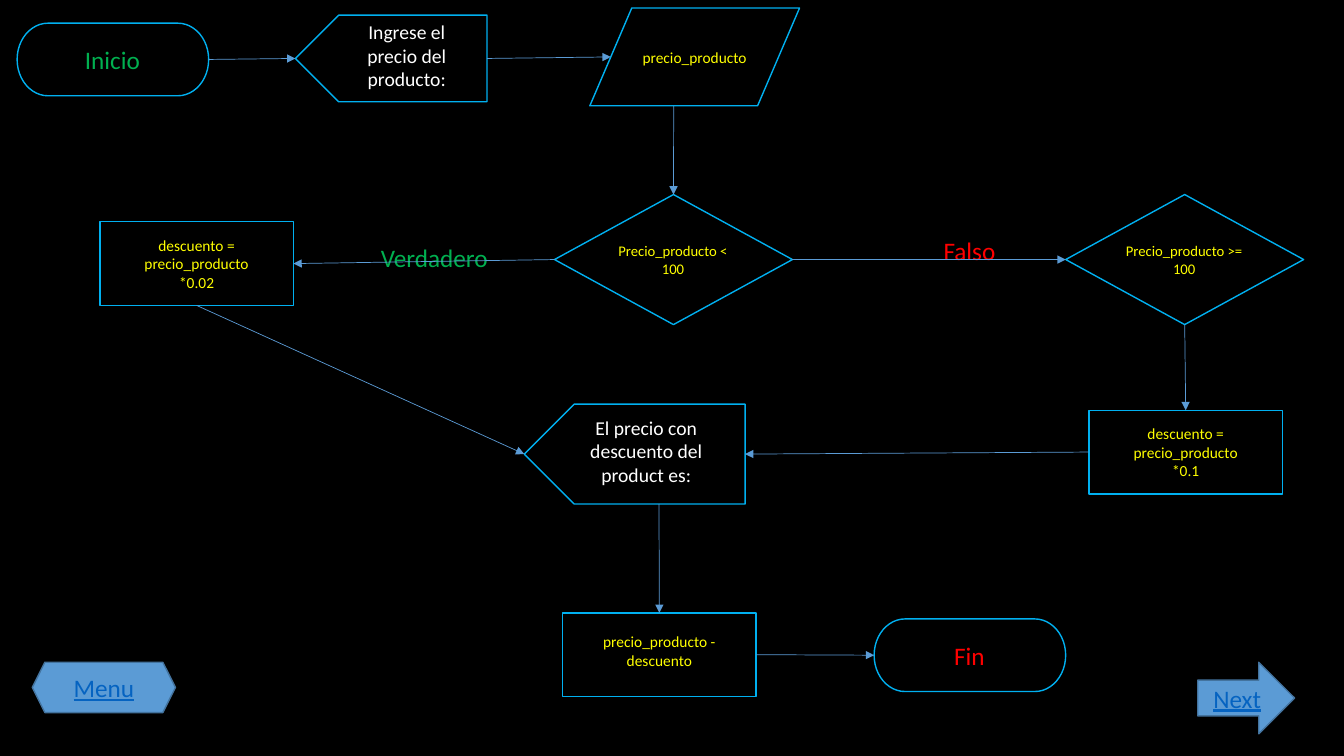
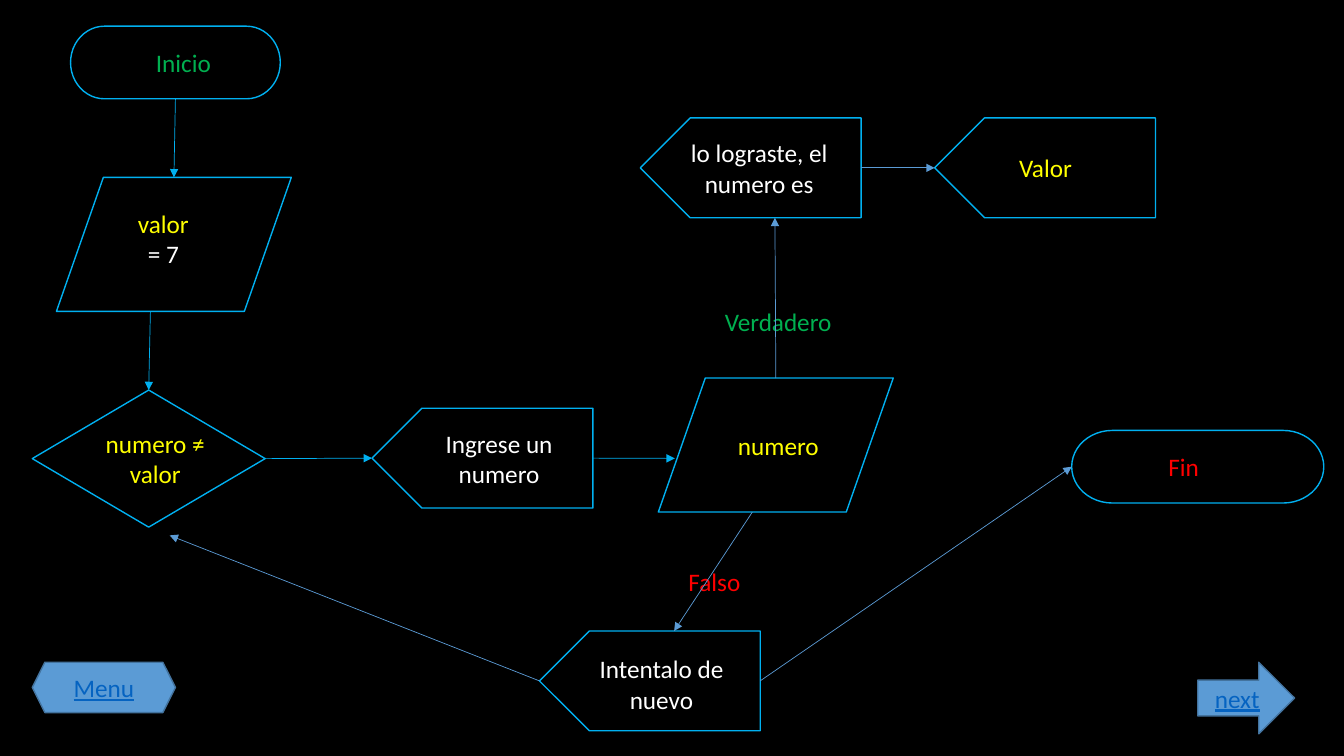
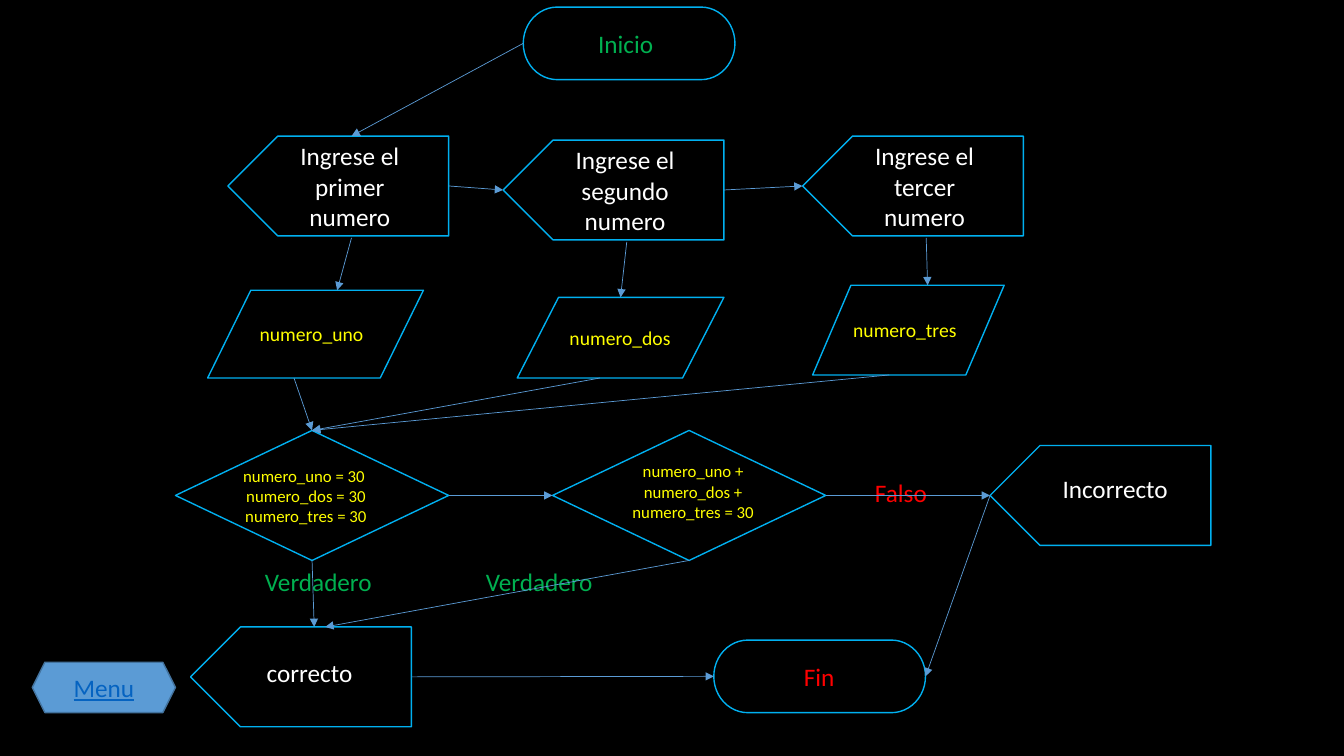
"""Build three flowchart slides about discounts and number games."""
from lxml import etree
from pptx import Presentation
from pptx import util as u
from pptx.dml.color import RGBColor
from pptx.enum import shapes, text
from pptx.oxml.ns import qn

PX = 9144
FONT = "Calibri"
BLACK = RGBColor.from_string("000000")
WHITE = RGBColor.from_string("FFFFFF")
YELLOW = RGBColor.from_string("FFFF00")
GREEN = RGBColor.from_string("00B050")
RED = RGBColor.from_string("FF0000")
CYAN = RGBColor.from_string("00B0F0")
BLUE = RGBColor.from_string("5B9BD5")
DARK_BLUE = RGBColor.from_string("43739E")
LINK = RGBColor.from_string("0563C1")
WORD_COLOURS = {
    "Inicio": GREEN, "Verdadero": GREEN, "Fin": RED, "Falso": RED,
    "Valor": YELLOW, "= 7": WHITE, "Menu": LINK, "Next": LINK, "next": LINK,
}

PRESET = shapes.MSO_SHAPE
TERMINAL = PRESET.FLOWCHART_TERMINATOR
PROMPT = PRESET.PENTAGON
DATA = PRESET.FLOWCHART_DATA
DECISION = PRESET.FLOWCHART_DECISION
PROCESS = PRESET.RECTANGLE

SITES = ["top", "left", "bottom", "right"]
ANCHORS = {
    "top": (0.5, 0), "left": (0, 0.5), "bottom": (0.5, 1), "right": (1, 0.5),
    "middle": (0.5, 0), "edge": (0.07, 0.6), "under": (0.59, 1.06),
    "above_words": (0.56, 0), "below_words": (0.56, 1.02),
}
SLANTED = {
    PROMPT: {"top": (0.61, 0), "bottom": (0.61, 1)},
    DATA: {"top": (0.6, 0), "left": (0.1, 0.5), "bottom": (0.4, 1), "right": (0.9, 0.5)},
}

DISCOUNT = [
    (TERMINAL, 190, 72, 18, [("inicio", 17, 23, "Inicio"), ("fin", 867, 614, "Fin")]),
    (PROMPT, 190, 86, 14, [("ingrese", 293, 15, "Ingrese el precio del producto:", 4, -3)]),
    (PROMPT, 219, 99, 14, [("resultado", 520, 401, "El precio con descuento del product es:", 0, -3)]),
    (DATA, 208, 97, 11, [("precio", 585, 8, "precio_producto")]),
    (DECISION, 236, 129, 10.5, [
        ("menor", 550, 193, "Precio_producto < 100"),
        ("mayor", 1057, 193, "Precio_producto >= 100"),
    ]),
    (PROCESS, 192, 83, 11, [
        ("minimo", 99, 220, "descuento = precio_producto *0.02"),
        ("maximo", 1080, 407, "descuento = precio_producto *0.1"),
        ("resta", 558, 608, "precio_producto - descuento", 0, -4),
    ]),
]
GUESS = [
    (TERMINAL, 208, 72, 18, [("inicio", 70, 26, "Inicio", 8)]),
    (TERMINAL, 250, 72, 18, [("fin", 1063, 427, "Fin", -14)]),
    (DATA, 233, 133, 18, [("valor", 56, 176, "valor\n= 7", -10, -6), ("numero", 653, 375, "numero", 3)]),
    (DECISION, 231, 136, 18, [("distinto", 32, 387, "numero ≠ valor", 7)]),
    (PROMPT, 219, 99, 18, [
        ("ingrese", 369, 405, "Ingrese un numero", 5),
        ("lograste", 635, 117, "lo lograste, el numero es", -3),
        ("mostrar", 927, 117, "Valor", -11),
        ("intentalo", 535, 626, "Intentalo de nuevo", 0, 3),
    ]),
]
SUM = [
    (TERMINAL, 210, 72, 18, [("inicio", 519, 7, "Inicio", -3), ("fin", 708, 635, "Fin")]),
    (PROMPT, 219, 99, 18, [
        ("primer", 226, 135, "Ingrese el primer numero"),
        ("segundo", 499, 139, "Ingrese el segundo\nnumero"),
        ("tercer", 796, 135, "Ingrese el tercer numero"),
        ("correcto", 189, 622, "correcto", -3, -4),
        ("incorrecto", 982, 442, "Incorrecto", 3, -7),
    ]),
    (DATA, 214, 87, 14, [("uno", 206, 288, "numero_uno", -4)]),
    (DATA, 205, 80, 14, [("dos", 513, 295, "numero_dos")]),
    (DATA, 190, 89, 14, [("tres", 806, 283, "numero_tres", -3)]),
    (DECISION, 271, 129, 12, [
        ("iguales", 174, 427, "numero_uno = 30 \nnumero_dos = 30\nnumero_tres = 30", -6),
        ("suma", 548, 427, "numero_uno + numero_dos + numero_tres = 30", 4, -4),
    ]),
]

DISCOUNT_ARROWS = """inicio right ingrese left
ingrese right precio left
precio bottom menor top
menor left minimo right
menor right mayor left
mayor bottom maximo top
maximo left resultado right
minimo bottom resultado left
resultado bottom resta top
resta right fin left"""
GUESS_ARROWS = """inicio bottom valor middle
valor bottom distinto top
distinto right ingrese left
ingrese right numero edge
numero middle lograste bottom
lograste right mostrar left
numero bottom intentalo top
intentalo left distinto under
intentalo right fin left"""
SUM_ARROWS = """inicio left primer above_words
primer right segundo left
segundo right tercer left
primer below_words uno top
segundo below_words dos middle
tercer below_words tres top
uno bottom iguales top
dos bottom iguales top
tres bottom iguales top
iguales right suma left
suma right incorrecto left
iguales bottom correcto above_words
suma bottom correcto top
correcto right fin left
incorrecto left fin right"""

CHARTS = [
    (DISCOUNT, DISCOUNT_ARROWS, [], [("Verdadero", 368, 235), ("Falso", 926, 229)], "Next"),
    (GUESS, GUESS_ARROWS, ["inicio", "valor", "distinto", "ingrese"],
     [("Verdadero", 709, 299), ("Falso", 673, 557)], "next"),
    (SUM, SUM_ARROWS, [], [("Verdadero", 253, 557), ("Verdadero", 472, 557), ("Falso", 858, 469)], None),
]


def write(frame, words, size, colour, align=text.PP_ALIGN.CENTER):
    """Put formatted words into a text frame."""
    frame.text = words
    frame.word_wrap = True
    for paragraph in frame.paragraphs:
        paragraph.alignment = align
        for run in paragraph.runs:
            run.font.name = FONT
            run.font.size = u.Pt(size)
            run.font.color.rgb = WORD_COLOURS.get(run.text, colour)


def locate(symbol, kind, side):
    """Give the point on a symbol where an arrow meets it."""
    across, down = SLANTED.get(kind, ANCHORS).get(side, ANCHORS[side])
    return [round(symbol.left + across * symbol.width), round(symbol.top + down * symbol.height)]


prs = Presentation()
prs.slide_width, prs.slide_height = 1333 * PX, 750 * PX

for groups, arrows, cyan_starts, labels, following in CHARTS:
    slide = prs.slides.add_slide(prs.slide_layouts[6])
    slide.background.fill.solid()
    slide.background.fill.fore_color.rgb = BLACK

    drawn = {}
    for kind, w, h, size, members in groups:
        for name, x, y, words, *shift in members:
            symbol = slide.shapes.add_shape(kind, x * PX, y * PX, w * PX, h * PX)
            symbol.shadow.inherit = False
            symbol.fill.background()
            symbol.line.color.rgb = CYAN
            symbol.line.width = u.Pt(1)
            symbol.rotation = 180 if kind == PROMPT else 0
            drawn[name] = symbol, kind

            dx, dy = (shift + [0, 0])[:2]
            dx += 12 if kind == PROMPT else 0
            room = round(w * (0.58 if kind == DECISION else 0.72))
            left = x + dx + (w - room) // 2
            caption = slide.shapes.add_textbox(left * PX, (y + dy) * PX, room * PX, h * PX)
            caption.text_frame.vertical_anchor = text.MSO_ANCHOR.MIDDLE
            write(caption.text_frame, words, size, WHITE if kind == PROMPT else YELLOW)

    for words, x, y in labels:
        branch = slide.shapes.add_textbox(x * PX, y * PX, 140 * PX, 40 * PX)
        write(branch.text_frame, words, 18, WHITE, text.PP_ALIGN.LEFT)

    for route in arrows.splitlines():
        start, start_side, end, end_side = route.split()
        points = locate(*drawn[start], start_side) + locate(*drawn[end], end_side)
        arrow = slide.shapes.add_connector(shapes.MSO_CONNECTOR.STRAIGHT, *points)
        for name, side, join in (
            (start, start_side, arrow.begin_connect),
            (end, end_side, arrow.end_connect),
        ):
            symbol, kind = drawn[name]
            if kind not in SLANTED and side in SITES:
                join(symbol, SITES.index(side))
        arrow.line.color.rgb = CYAN if start in cyan_starts else BLUE
        arrow.line.width = u.Pt(0.5)
        etree.SubElement(arrow.line._get_or_add_ln(), qn("a:tailEnd"), type="triangle")
        etree.SubElement(arrow._element.spPr, qn("a:effectLst"))

    buttons = [("Menu", PRESET.HEXAGON, 32, 142, 50)]
    if following:
        buttons.append((following, PRESET.RIGHT_ARROW, 1188, 96, 71))
    for words, kind, x, w, h in buttons:
        button = slide.shapes.add_shape(kind, x * PX, 657 * PX, w * PX, h * PX)
        button.shadow.inherit = False
        button.fill.solid()
        button.fill.fore_color.rgb = BLUE
        button.line.color.rgb = DARK_BLUE
        button.line.width = u.Pt(1)
        button.text_frame.vertical_anchor = text.MSO_ANCHOR.MIDDLE
        write(button.text_frame, words, 18, LINK)
        button.text_frame.paragraphs[0].runs[0].font.underline = True

prs.save("out.pptx")
